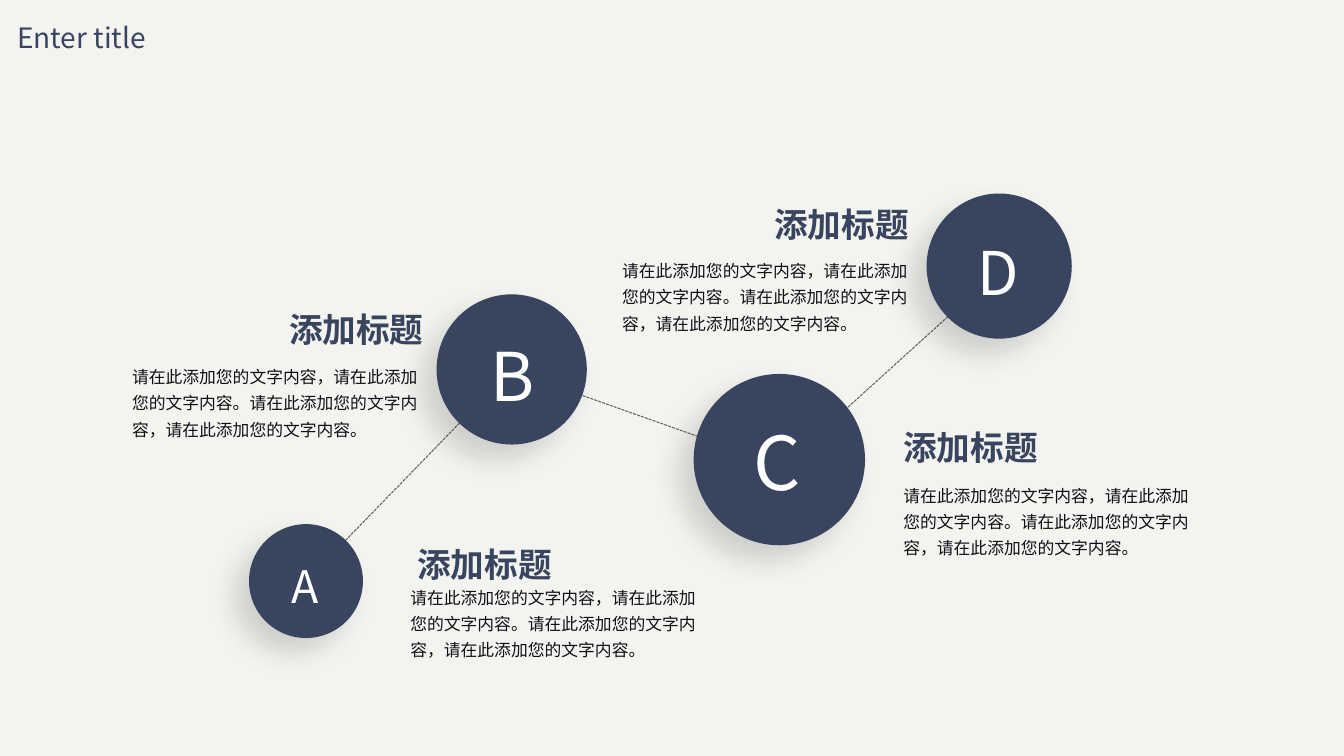
from lxml import etree
from pptx import Presentation
from pptx import util as u
from pptx.dml.color import RGBColor
from pptx.enum import dml, shapes, text
from pptx.oxml.ns import qn

PX = 9144
FONT = "Noto Sans CJK SC"
NAVY, INK, WHITE, GREY, PAPER = "39445F", "0E1118", "FFFFFF", "626262", "F3F3F0"
HEADING = "添加标题"
BODY = "请在此添加您的文字内容，请在此添加您的文字内容。" * 2
LEFT, CENTER, RIGHT = text.PP_ALIGN.LEFT, text.PP_ALIGN.CENTER, text.PP_ALIGN.RIGHT

BADGES = [
    ("A", (247, 520, 113), (275, 547, 56, 67), 32),
    ("B", (433, 292, 149), (472, 325, 72, 94), 48),
    ("C", (688, 371, 170), (733, 406, 75, 103), 53),
    ("D", (919, 192, 144), (956, 226, 69, 86), 43),
]
NOTES = [
    ((401, 533), LEFT, (394, 570)),
    ((179, 299), RIGHT, (118, 351)),
    ((883, 417), LEFT, (883, 469)),
    ((755, 195), LEFT, (604, 246)),
]
LINKS = [
    ((303, 577), (507, 367)),
    ((777, 463), (506, 367)),
    ((1022, 240), (777, 462)),
]


def px(*values):
    return [u.Emu(v * PX) for v in values]


def color(value):
    return RGBColor.from_string(value)


def write(s, content, size, ink, align=LEFT, bold=False, wrap=True,
          anchor=text.MSO_ANCHOR.TOP, margins=(13, 7), spacing=None):
    tf = s.text_frame
    tf.text = content
    tf.word_wrap = wrap
    tf.auto_size = text.MSO_AUTO_SIZE.SHAPE_TO_FIT_TEXT
    tf.vertical_anchor = anchor
    side, edge = px(*margins)
    tf.margin_left = tf.margin_right = side
    tf.margin_top = tf.margin_bottom = edge
    p = tf.paragraphs[0]
    p.alignment = align
    if spacing:
        p.line_spacing = spacing
    r = p.runs[0]
    r.font.name = FONT
    r.font.size = u.Pt(size)
    r.font.bold = bold
    r.font.color.rgb = color(ink)
    etree.SubElement(r.font._element, qn("a:ea"), typeface=FONT)


def add_text(sp, box, content, size, ink, **style):
    write(sp.add_textbox(*px(*box)), content, size, ink, **style)


def add_link(sp, start, end):
    s = sp.add_connector(shapes.MSO_CONNECTOR.STRAIGHT, *px(*start, *end))
    s.line.color.rgb = color(GREY)
    s.line.width = u.Pt(0.75)
    s.line.dash_style = dml.MSO_LINE.SQUARE_DOT
    ln = s.line._get_or_add_ln()
    for tag in ("a:headEnd", "a:tailEnd"):
        etree.SubElement(ln, qn(tag), type="oval")
    etree.SubElement(s._element.spPr, qn("a:effectLst"))


def add_circle(sp, left, top, size):
    s = sp.add_shape(shapes.MSO_SHAPE.OVAL, *px(left, top, size, size))
    s.fill.solid()
    s.fill.fore_color.rgb = color(NAVY)
    s.line.fill.background()
    s.shadow.inherit = False
    effects = s._element.spPr.find(qn("a:effectLst"))
    shadow = etree.SubElement(
        effects, qn("a:outerShdw"), blurRad=str(u.Pt(20)), dist=str(u.Pt(15)),
        dir=str(135 * 60000), algn="tr", rotWithShape="0")
    tint = etree.SubElement(shadow, qn("a:srgbClr"), val="000000")
    etree.SubElement(tint, qn("a:alpha"), val="15000")


def set_title(s, content):
    s.left, s.top, s.width, s.height = px(7, 15, 153, 44)
    write(s, content, 20, NAVY, wrap=False, margins=(10, 5), spacing=1.0)


def main():
    prs = Presentation()
    prs.slide_width, prs.slide_height = u.Inches(13.33), u.Inches(7.5)
    slide = prs.slides.add_slide(prs.slide_layouts[5])
    slide.background.fill.solid()
    slide.background.fill.fore_color.rgb = color(PAPER)
    set_title(slide.shapes.title, "Enter title")
    sp = slide.shapes
    for start, end in LINKS:
        add_link(sp, start, end)
    for letter, circle, box, size in BADGES:
        add_circle(sp, *circle)
        add_text(sp, box, letter, size, WHITE, align=CENTER, wrap=False,
                 anchor=text.MSO_ANCHOR.MIDDLE)
    for heading_at, align, body_at in NOTES:
        add_text(sp, (*heading_at, 254, 54), HEADING, 24, NAVY,
                 align=align, bold=True)
        add_text(sp, (*body_at, 314, 116), BODY, 12, INK, spacing=1.3)
    prs.save("out.pptx")


if __name__ == "__main__":
    main()
